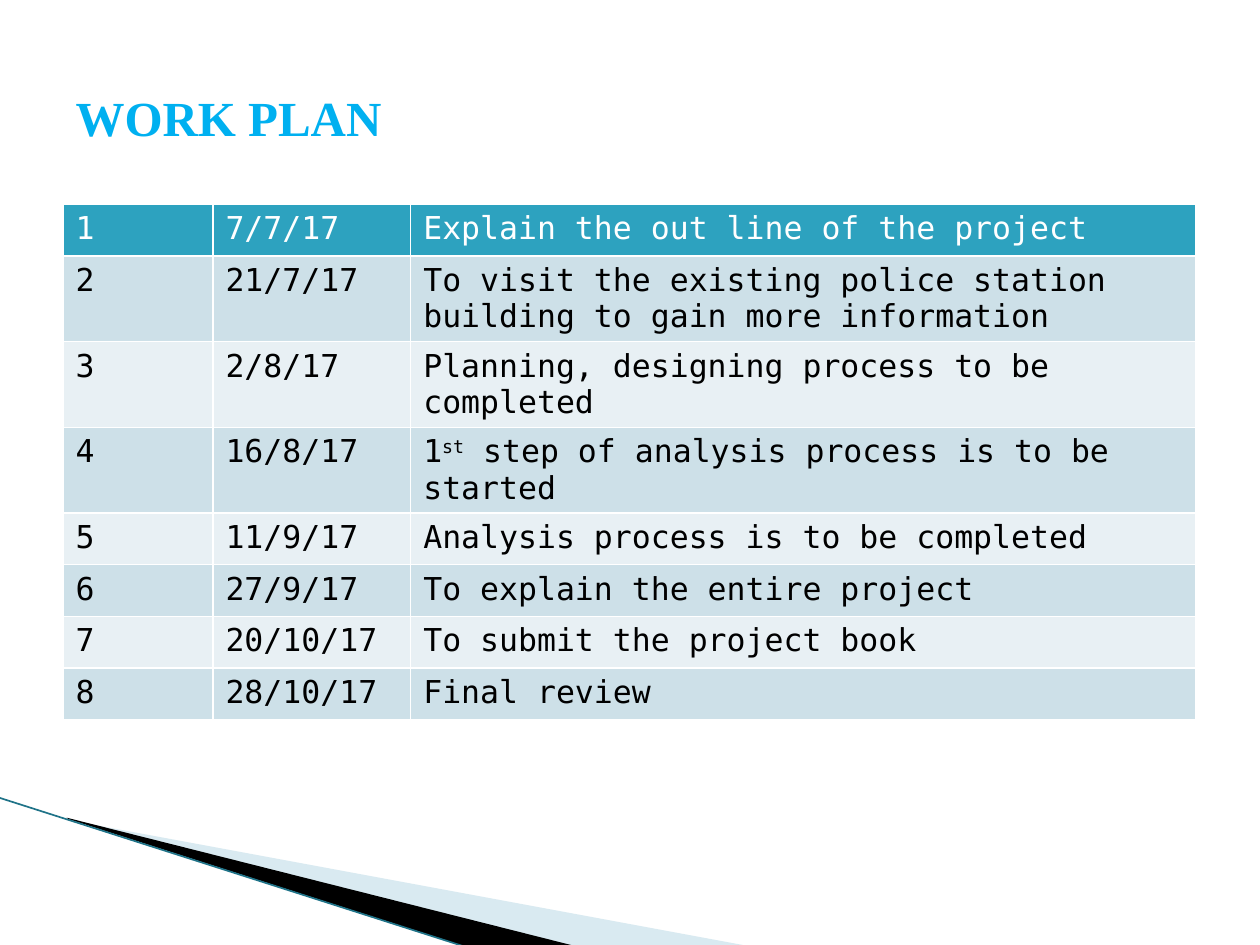
from dataclasses import dataclass

from lxml import etree
from pptx import Presentation
from pptx.dml.color import RGBColor
from pptx.enum.shapes import MSO_CONNECTOR
from pptx.enum.text import MSO_ANCHOR, PP_ALIGN
from pptx.oxml.ns import qn
from pptx.slide import Slide
from pptx.text.text import _Paragraph
from pptx.util import Inches, Pt

STRAIGHT = MSO_CONNECTOR.STRAIGHT
MIDDLE = MSO_ANCHOR.MIDDLE
LEFT = PP_ALIGN.LEFT
TITLE_ONLY_LAYOUT = 5

COLORS = {
    "title": "00B0F0",
    "header": "2DA2BF",
    "header_text": "FFFFFF",
    "body_text": "000000",
    "band_dark": "CDE0E8",
    "band_light": "E8F0F4",
    "pale_wedge": "A0CBDC",
    "black_wedge": "000000",
    "edge": "1F7388",
}
TITLE_FONT = "Times New Roman"
TABLE_FONT = "DejaVu Sans Mono"

COLUMN_WIDTHS = (1.19, 1.57, 6.23)
ROW_HEIGHT = 0.41


@dataclass(frozen=True)
class Wedge:
    points: tuple[tuple[float, float], ...]
    color: str
    opacity: int = 100


@dataclass(frozen=True)
class Step:
    date: str
    task: str
    ordinal: tuple[str, str] = ("", "")


WEDGES = (
    Wedge(((0.55, 6.51), (5.95, 7.51), (4.56, 7.51), (0.55, 6.5)), "pale_wedge", 40),
    Wedge(((0.53, 6.49), (4.57, 7.51), (3.72, 7.52), (0.54, 6.5)), "black_wedge"),
)
STEPS = (
    Step("7/7/17", "Explain the out line of the project"),
    Step("21/7/17", "To visit the existing police station building to gain more information"),
    Step("2/8/17", "Planning, designing process to be completed"),
    Step("16/8/17", " step of analysis process is to be started", ("1", "st")),
    Step("11/9/17", "Analysis process is to be completed"),
    Step("27/9/17", "To explain the entire project"),
    Step("20/10/17", "To submit the project book"),
    Step("28/10/17", "Final review"),
)


def rgb(name: str) -> RGBColor:
    return RGBColor.from_string(COLORS[name])


def style_text(paragraph: _Paragraph, face: str, size: int, color: str, bold: bool) -> None:
    font = paragraph.font
    font.name, font.size, font.bold = face, Pt(size), bold
    font.color.rgb = rgb(color)


def draw_wedge(slide: Slide, wedge: Wedge) -> None:
    start, *rest = [(Inches(x), Inches(y)) for x, y in wedge.points]
    builder = slide.shapes.build_freeform(*start)
    builder.add_line_segments(rest, close=True)
    shape = builder.convert_to_shape()
    shape.shadow.inherit = False
    shape.line.fill.background()
    shape.fill.solid()
    shape.fill.fore_color.rgb = rgb(wedge.color)
    if wedge.opacity < 100:
        color = shape.fill._xPr.find(f".//{qn('a:srgbClr')}")
        etree.SubElement(color, qn("a:alpha"), val=str(wedge.opacity * 1000))


def draw_edge(slide: Slide) -> None:
    edge = slide.shapes.add_connector(
        STRAIGHT, Inches(-0.01), Inches(6.33), Inches(3.71), Inches(7.52)
    )
    edge.line.color.rgb = rgb("edge")
    edge.line.width = Pt(0.95)
    etree.SubElement(edge._element.spPr, qn("a:effectLst"))


def write_task(paragraph: _Paragraph, step: Step) -> None:
    """Write the task, led by its number with a raised suffix if it has one."""
    number, suffix = step.ordinal
    if number:
        paragraph.add_run().text = number
        raised = paragraph.add_run()
        raised.text = suffix
        raised._r.get_or_add_rPr().set("baseline", "30000")
    paragraph.add_run().text = step.task


def draw_plan(slide: Slide, steps: tuple[Step, ...]) -> None:
    plan = slide.shapes.add_table(
        len(steps), len(COLUMN_WIDTHS), Inches(0.5), Inches(1.62),
        Inches(sum(COLUMN_WIDTHS)), Inches(ROW_HEIGHT * len(steps)),
    ).table
    for column, width in zip(plan.columns, COLUMN_WIDTHS):
        column.width = Inches(width)
    for index, step in enumerate(steps):
        plan.rows[index].height = Inches(ROW_HEIGHT)
        number, date, task = plan.rows[index].cells
        number.text = str(index + 1)
        date.text = step.date
        write_task(task.text_frame.paragraphs[0], step)
        if index == 0:
            fill, text_color = "header", "header_text"
        else:
            fill, text_color = "band_dark" if index % 2 else "band_light", "body_text"
        for cell in (number, date, task):
            cell.fill.solid()
            cell.fill.fore_color.rgb = rgb(fill)
            style_text(cell.text_frame.paragraphs[0], TABLE_FONT, 18, text_color, False)


def draw_title(slide: Slide, text: str) -> None:
    title = slide.shapes.title
    title.left, title.top = Inches(0.5), Inches(0.3)
    title.width, title.height = Inches(9), Inches(1.25)
    title.text_frame.text = text
    title.text_frame.vertical_anchor = MIDDLE
    heading = title.text_frame.paragraphs[0]
    heading.alignment = LEFT
    style_text(heading, TITLE_FONT, 28, "title", True)


def main() -> None:
    deck = Presentation()
    deck.slide_width, deck.slide_height = Inches(10), Inches(7.5)
    slide = deck.slides.add_slide(deck.slide_layouts[TITLE_ONLY_LAYOUT])
    for wedge in WEDGES:
        draw_wedge(slide, wedge)
    draw_edge(slide)
    draw_plan(slide, STEPS)
    draw_title(slide, "WORK PLAN")
    deck.save("out.pptx")


if __name__ == "__main__":
    main()
